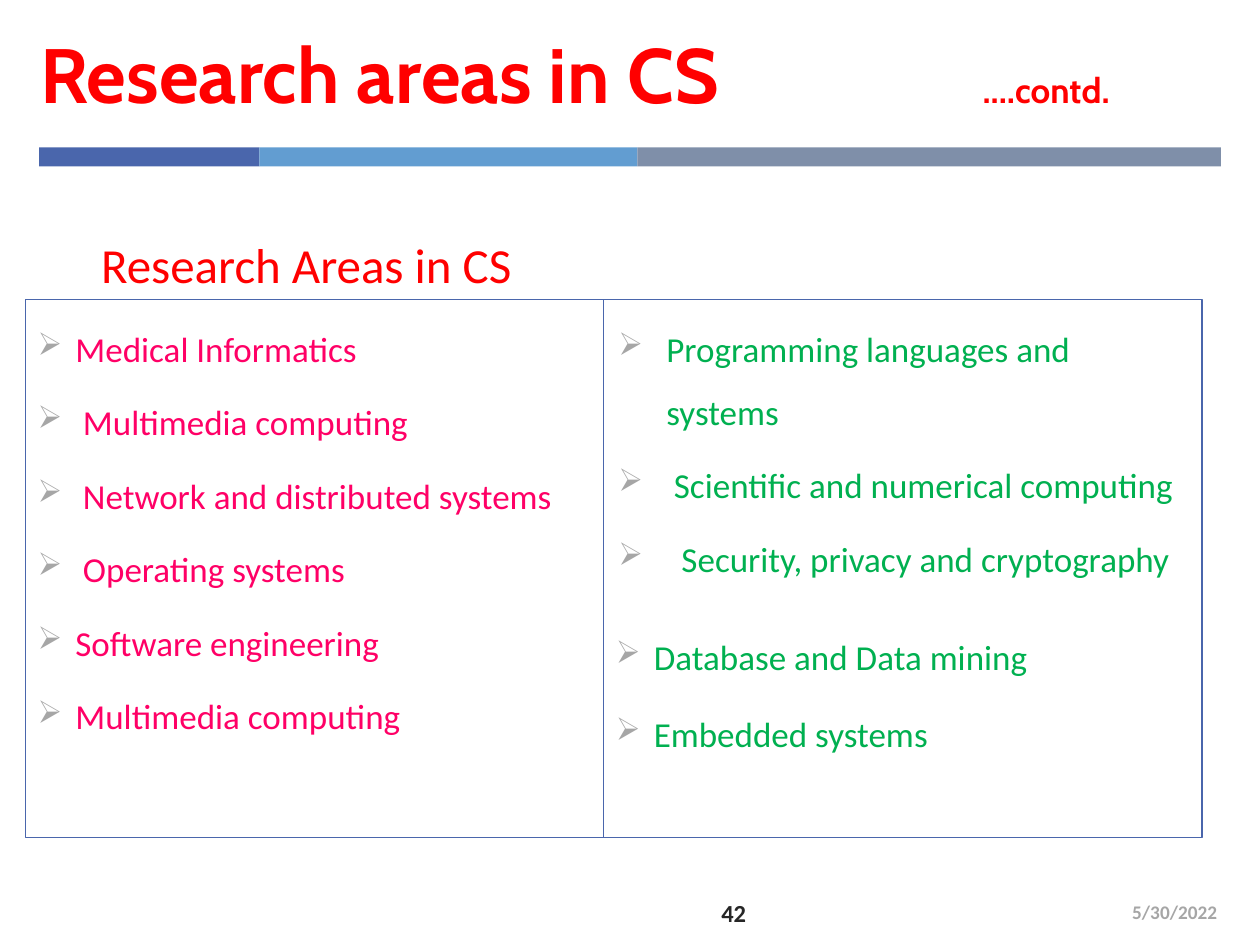
from lxml import etree
from pptx import Presentation
from pptx.dml.color import RGBColor
from pptx.enum.shapes import MSO_SHAPE
from pptx.enum.text import MSO_ANCHOR, PP_ALIGN
from pptx.oxml.ns import qn
from pptx.util import Inches, Pt

prs = Presentation()
prs.slide_width, prs.slide_height = Inches(10), Inches(7.5)
slide = prs.slides.add_slide(prs.slide_layouts[6])


def rgb(value):
    return RGBColor.from_string(value)


def add_run(paragraph, text, size, color, font="Calibri", bold=False):
    run = paragraph.add_run()
    run.text = text
    run.font.size = Pt(size)
    run.font.name = font
    run.font.bold = bold
    run.font.color.rgb = rgb(color)


left = 0.31
for width, color in [(1.75, "4A66AC"), (3, "629DD1"), (4.63, "7F8FA9")]:
    bar = slide.shapes.add_shape(MSO_SHAPE.RECTANGLE, Inches(left), Inches(1.17), Inches(width), Inches(0.15))
    bar.shadow.inherit = False
    bar.fill.solid()
    bar.fill.fore_color.rgb = rgb(color)
    bar.line.fill.background()
    left += width

labels = [
    ((0.22, 0.08, 9.36, 1), MSO_ANCHOR.MIDDLE, PP_ALIGN.LEFT, "Research areas in CS\t", 44, "FF0000", "Cabin", True),
    ((0.22, 1.78, 4.42, 0.6), MSO_ANCHOR.BOTTOM, PP_ALIGN.CENTER, "Research Areas in CS", 28, "FF0000", "Calibri", False),
    ((7.43, 7.04, 2.33, 0.4), MSO_ANCHOR.MIDDLE, PP_ALIGN.RIGHT, "5/30/2022", 11, "A6A6A6", "Calibri", True),
    ((5.33, 7.05, 0.69, 0.39), MSO_ANCHOR.MIDDLE, PP_ALIGN.RIGHT, "42", 14, "262626", "Calibri", True),
]
paragraphs = []
for box, anchor, align, text, size, color, font, bold in labels:
    frame = slide.shapes.add_textbox(*map(Inches, box)).text_frame
    frame.word_wrap = True
    frame.vertical_anchor = anchor
    paragraph = frame.paragraphs[0]
    paragraph.alignment = align
    add_run(paragraph, text, size, color, font, bold)
    paragraphs.append(paragraph)

title = paragraphs[0]
add_run(title, "....contd.", 20, "FF0000", "Cabin", True)
tabs = etree.SubElement(title._p.get_or_add_pPr(), qn("a:tabLst"))
etree.SubElement(tabs, qn("a:tab"), pos=str(Inches(7.48)), algn="l")

columns = [
    (0.2, 4.59, "FF0066", [
        ("Medical Informatics", 0.3, 0.3, 1.5, 6),
        ("Multimedia computing", 0.36, 0.36, 1.5, 6),
        ("Network and distributed systems", 0.36, 0.36, 1.5, 6),
        ("Operating systems", 0.36, 0.36, 1.5, 6),
        ("Software engineering", 0.3, 0.3, 1.5, 6),
        ("Multimedia computing", 0.3, 0.3, 1.5, 6),
    ]),
    (4.79, 4.75, "00B050", [
        ("Programming languages and systems", 0.4, 0.38, 1.5, 6),
        ("Scientific and numerical computing", 0.46, 0.44, 1.5, 6),
        ("Security, privacy and cryptography", 0.52, 0.5, 1.5, 6),
        ("Database and Data mining", 0.3, 0.3, 1.5, 20),
        ("Embedded systems", 0.3, 0.3, 1, 20),
    ]),
]
for left, width, color, areas in columns:
    panel = slide.shapes.add_shape(MSO_SHAPE.RECTANGLE, Inches(left), Inches(2.38), Inches(width), Inches(4.27))
    panel.shadow.inherit = False
    panel.fill.background()
    panel.line.color.rgb = rgb("4A66AC")
    panel.line.width = Pt(0.75)
    frame = panel.text_frame
    frame.word_wrap = True
    frame.vertical_anchor = MSO_ANCHOR.TOP
    for index, (area, margin, hanging, spacing, before) in enumerate(areas):
        paragraph = frame.add_paragraph() if index else frame.paragraphs[0]
        paragraph.alignment = PP_ALIGN.LEFT
        paragraph.line_spacing = spacing
        paragraph.space_before = Pt(before)
        add_run(paragraph, area, 20, color)
        props = paragraph._p.get_or_add_pPr()
        props.set("marL", str(Inches(margin)))
        props.set("indent", str(-Inches(hanging)))
        bullet_color = etree.SubElement(props, qn("a:buClr"))
        etree.SubElement(bullet_color, qn("a:srgbClr"), val="A6A6A6")
        etree.SubElement(props, qn("a:buSzPct"), val="90000")
        etree.SubElement(props, qn("a:buChar"), char="➢")

prs.save("out.pptx")
